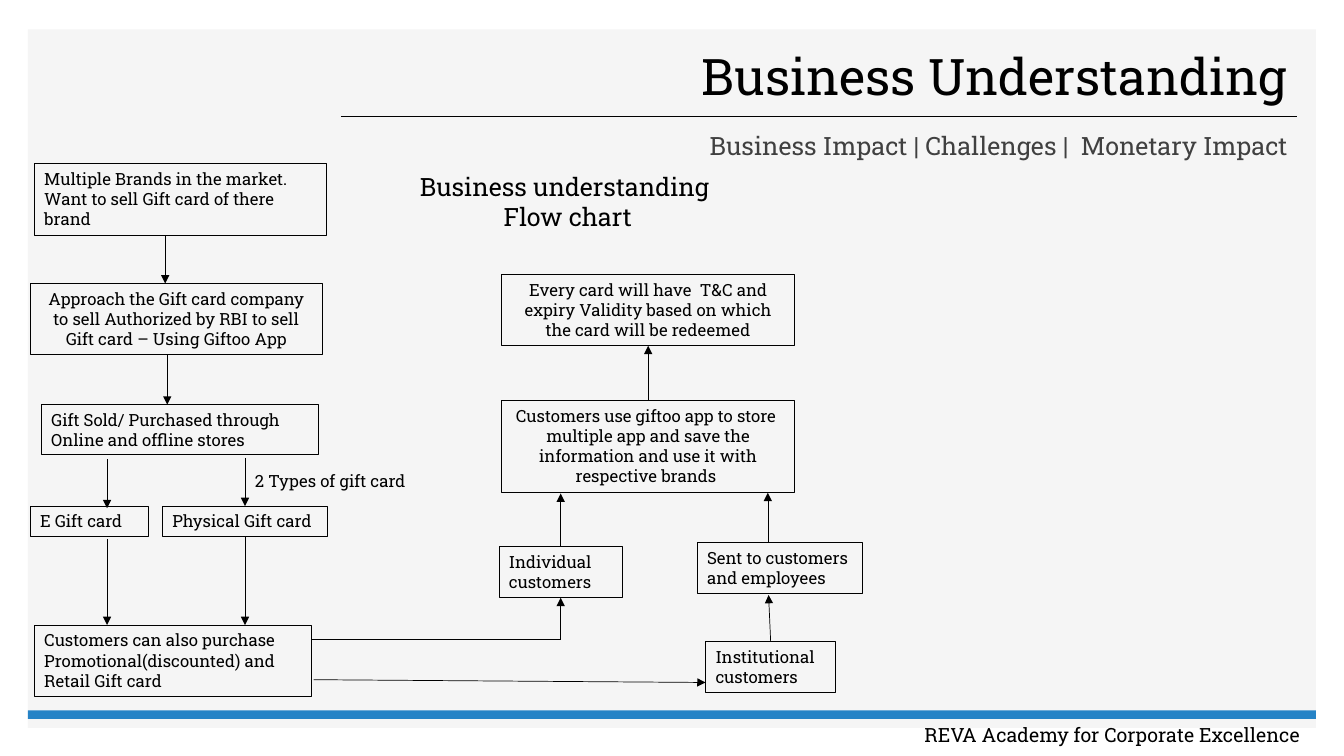
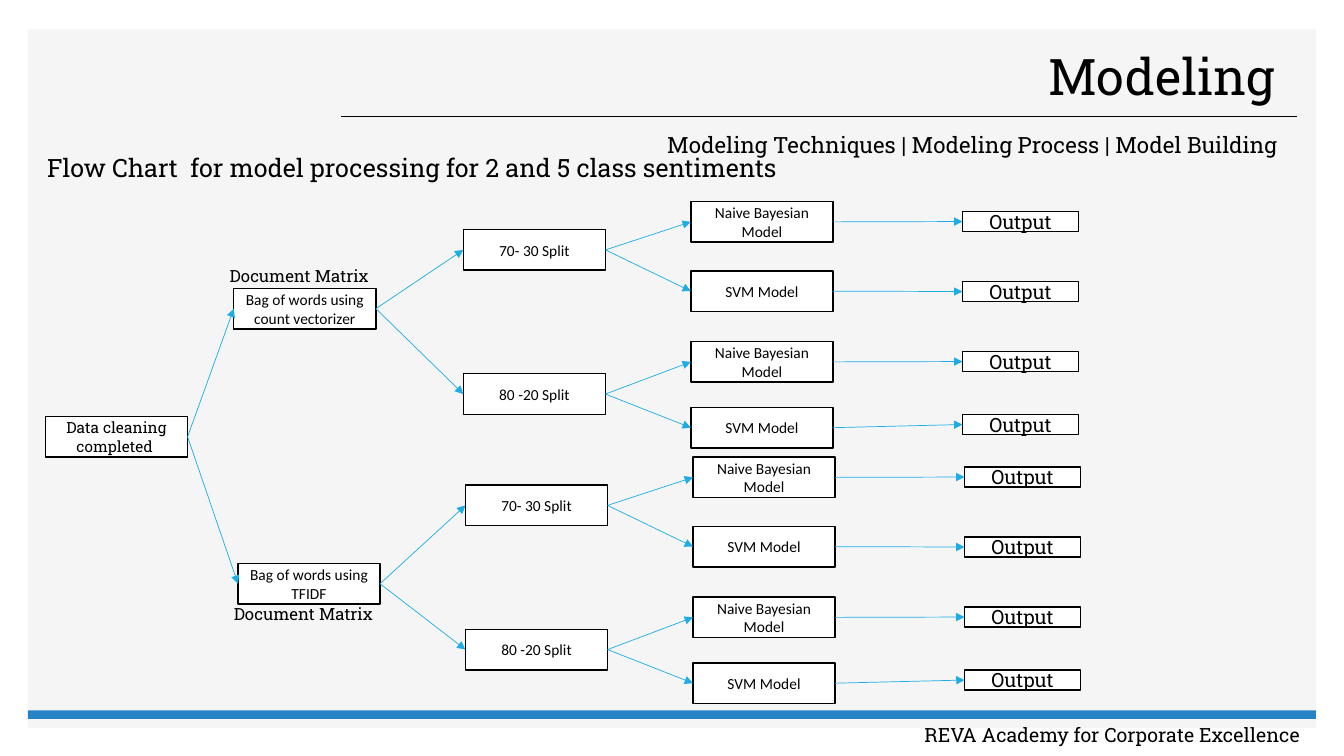
from dataclasses import dataclass

from lxml.etree import SubElement
from pptx import Presentation
from pptx.dml.color import RGBColor as RGB
from pptx.enum.shapes import MSO_CONNECTOR as LINK, MSO_SHAPE as FORM
from pptx.enum.text import MSO_ANCHOR as ANCHOR, PP_ALIGN as ALIGN
from pptx.oxml.ns import qn
from pptx.shapes.autoshape import Shape
from pptx.util import Pt

TOP, LEFT, BOTTOM, RIGHT = range(4)


@dataclass(frozen=True)
class Theme:
    ink: RGB = RGB(0, 0, 0)
    gray: RGB = RGB(0x40, 0x40, 0x40)
    white: RGB = RGB(0xFF, 0xFF, 0xFF)
    panel: RGB = RGB(0xF5, 0xF5, 0xF5)
    band: RGB = RGB(0x26, 0x83, 0xC6)
    sky: RGB = RGB(0x1C, 0xAD, 0xE4)
    slab: str = "Roboto Slab"
    plain: str = "Calibri"
    title: float = 36
    head: float = 18
    sub: float = 16
    foot: float = 14
    note: float = 12
    node: float = 11


class Deck:
    def __init__(self, theme):
        self.theme = theme
        self.show = Presentation()
        self.show.slide_width, self.show.slide_height = Pt(960), Pt(540)
        self.base = self.show.slide_layouts[6]
        self.slide = None

    def page(self, title):
        first = self.slide is None
        self.slide = self.show.slides.add_slide(self.base)
        if first:
            self.frame()
        self.text(title, (266.5, 30, 660, 52.5), self.theme.title,
                  align=ALIGN.RIGHT, anchor=ANCHOR.MIDDLE, line_spacing=0.9)

    def frame(self):
        """Draw the shared parts once and move them into the layout."""
        look = self.theme
        for holder in list(self.base.placeholders):
            holder.element.getparent().remove(holder.element)
        self.box((20, 21, 920, 499), fill=look.panel)
        self.link((243.5, 83), (926.5, 83), width=1, arrow=False)
        self.box((20, 507.5, 920, 6), fill=look.band)
        self.text("REVA Academy for Corporate Excellence ",
                  (563, 512.5, 376.5, 24.5), look.foot, align=ALIGN.RIGHT)
        for part in list(self.slide.shapes):
            self.base.element.cSld.spTree.append(part.element)

    def label(self, shape, words, size, font=None, color=None,
              align=ALIGN.LEFT, anchor=ANCHOR.TOP, line_spacing=None):
        body = shape.text_frame
        body.word_wrap = True
        body.vertical_anchor = anchor
        body.text = words
        style = {"name": font or self.theme.slab, "size": Pt(size)}
        for para in body.paragraphs:
            para.alignment = align
            para.line_spacing = line_spacing
            for run in para.runs:
                for key, value in style.items():
                    setattr(run.font, key, value)
                run.font.color.rgb = color or self.theme.ink

    def text(self, words, area, size, **style):
        shape = self.slide.shapes.add_textbox(*map(Pt, area))
        self.label(shape, words, size, **style)

    def box(self, area, words="", size=None, fill=None, edge=0, **style):
        shape = self.slide.shapes.add_shape(FORM.RECTANGLE, *map(Pt, area))
        shape.shadow.inherit = False
        if fill is None:
            shape.fill.background()
        else:
            shape.fill.solid()
            shape.fill.fore_color.rgb = fill
        if edge:
            shape.line.color.rgb = self.theme.ink
            shape.line.width = Pt(edge)
        else:
            shape.line.fill.background()
        if words:
            self.label(shape, words, size, **style)
        return shape

    def link(self, start, end, color=None, width=0.5, arrow=True):
        """Draw a line; each end is a point or a (shape, side) pair."""
        joins = [isinstance(tip[0], Shape) for tip in (start, end)]
        spots = [(0, 0) if join else tip
                 for join, tip in zip(joins, (start, end))]
        line = self.slide.shapes.add_connector(
            LINK.STRAIGHT, *map(Pt, spots[0] + spots[1]))
        if joins[0]:
            line.begin_connect(*start)
        if joins[1]:
            line.end_connect(*end)
        line.line.color.rgb = color or self.theme.ink
        line.line.width = Pt(width)
        props = line.element.spPr
        if arrow:
            SubElement(props.find(qn("a:ln")), qn("a:tailEnd"), type="triangle")
        SubElement(props, qn("a:effectLst"))

    def step(self, words, area, align=ALIGN.LEFT):
        return self.box(area, words, self.theme.note, edge=0.75, align=align)

    def node(self, words, area, size=None, font=None):
        look = self.theme
        return self.box(area, words, size or look.node, fill=look.white, edge=1,
                        font=font or look.plain, align=ALIGN.CENTER,
                        anchor=ANCHOR.MIDDLE)


def business(deck):
    look = deck.theme
    deck.page("Business Understanding")
    deck.text("Business Impact | Challenges |  Monetary Impact ",
              (497, 89.5, 430, 29), look.head, color=look.gray, align=ALIGN.RIGHT)
    deck.text("Business understanding \nFlow chart", (260.5, 119, 290, 51),
              look.head, align=ALIGN.CENTER)
    deck.text("2 Types of gift card", (175, 332.5, 157.5, 21.5), look.note)

    deck.step("Multiple Brands in the market.\nWant to sell Gift card of there brand",
              (24.5, 117, 209, 51))
    deck.step("Approach the Gift card company to sell Authorized by RBI to sell "
              "Gift card – Using Giftoo App", (21.5, 202.5, 209, 51), ALIGN.CENTER)
    deck.step("Gift Sold/ Purchased through Online and offline stores",
              (29.5, 289, 198, 36))
    deck.step("E Gift card", (21.5, 361.5, 84.5, 21.5))
    solid = deck.step("Physical Gift card", (116, 361.5, 118, 21.5))
    deck.step("Customers can also purchase\nPromotional(discounted) and Retail Gift card",
              (24.5, 446.5, 198, 51))
    single = deck.step("Individual  customers", (356.5, 390.5, 88, 36.5))
    firm = deck.step("Institutional customers", (504, 458.5, 93, 36.5))
    deck.step("Sent to customers and employees", (498, 387.5, 118, 36.5))
    users = deck.step("Customers use giftoo app to store  multiple app and save the "
                      "information and use it with respective brands ",
                      (358.5, 286, 209, 65.5), ALIGN.CENTER)
    terms = deck.step("Every card will have  T&C and expiry Validity based on which "
                      "the card will be redeemed", (358.5, 196, 209, 51), ALIGN.CENTER)

    for start, end in (
        ((118, 168), (118, 202.5)),
        ((119.5, 253.5), (119.5, 289)),
        ((76.5, 328), (76.5, 363)),
        ((175, 327), (solid, TOP)),
        ((76.5, 385), (76.5, 446.5)),
        ((solid, BOTTOM), (175, 446.5)),
        ((400.5, 457), (single, BOTTOM)),
        ((224, 485.5), (504, 487.5)),
        ((firm, TOP), (549, 425)),
        ((single, TOP), (400.5, 352.5)),
        ((548.5, 387.5), (548.5, 352)),
        ((users, TOP), (terms, BOTTOM)),
    ):
        deck.link(start, end)
    deck.link((222.5, 457), (400.5, 457), arrow=False)


def modeling(deck):
    look = deck.theme
    deck.page("Modeling ")
    deck.text("Modeling Techniques | Modeling Process | Model Building",
              (469.5, 90, 466.5, 26.5), look.sub)
    deck.text("Flow Chart  for model processing for 2 and 5 class sentiments",
              (26.5, 105, 685.5, 51), look.head)
    wide, high = 101.5, 29

    def join(left, right):
        deck.link((left, RIGHT), (right, LEFT), look.sky)

    root = deck.node("Data cleaning\ncompleted ", (32.5, 297.5, wide, high),
                     font=look.slab)
    splits = (("70- 30 Split", 164, ((144, 151), (193.5, 201))),
              ("80 -20 Split", 267, ((244, 251), (291, 296))))
    names = ("Naive Bayesian Model", "SVM Model")
    bags = (("count vectorizer", 167, 206, 157, 186, 0, 0),
            ("TFIDF", 170, 402.5, 160, 427.5, 1.5, 182.5))
    for kind, x, y, note_x, note_y, right, down in bags:
        bag = deck.node(f"Bag of words using {kind}", (x, y, wide, high))
        deck.text("Document Matrix", (note_x, note_y, 161, 21.5), look.note)
        join(root, bag)
        for title, split_y, rows in splits:
            split = deck.node(title, (331 + right, split_y + down, wide, high))
            join(bag, split)
            for name, (model_y, out_y) in zip(names, rows):
                model = deck.node(name, (493.5 + right, model_y + down, wide, high))
                out = deck.node("Output", (687.5 + right, out_y + down, 83, 14.5),
                                look.foot, look.slab)
                join(split, model)
                join(model, out)


def main():
    deck = Deck(Theme())
    business(deck)
    modeling(deck)
    deck.show.save("out.pptx")


if __name__ == "__main__":
    main()
